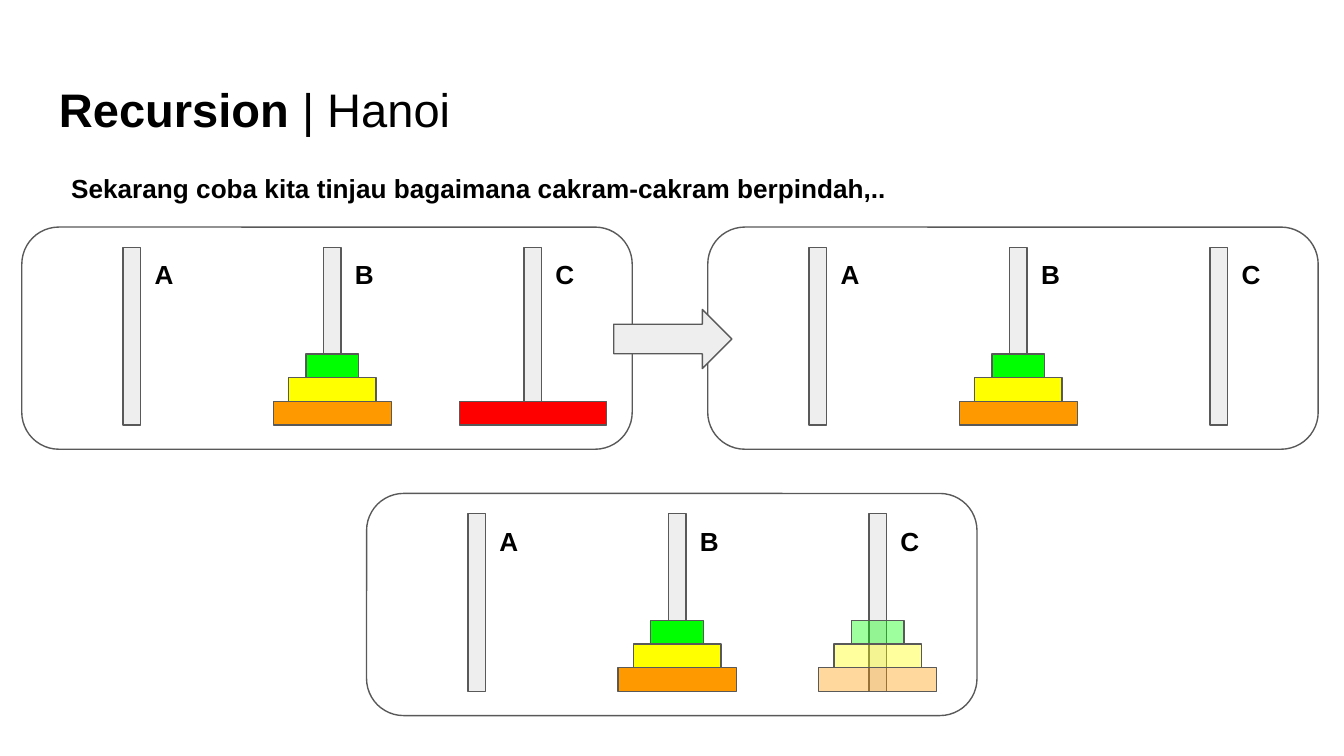
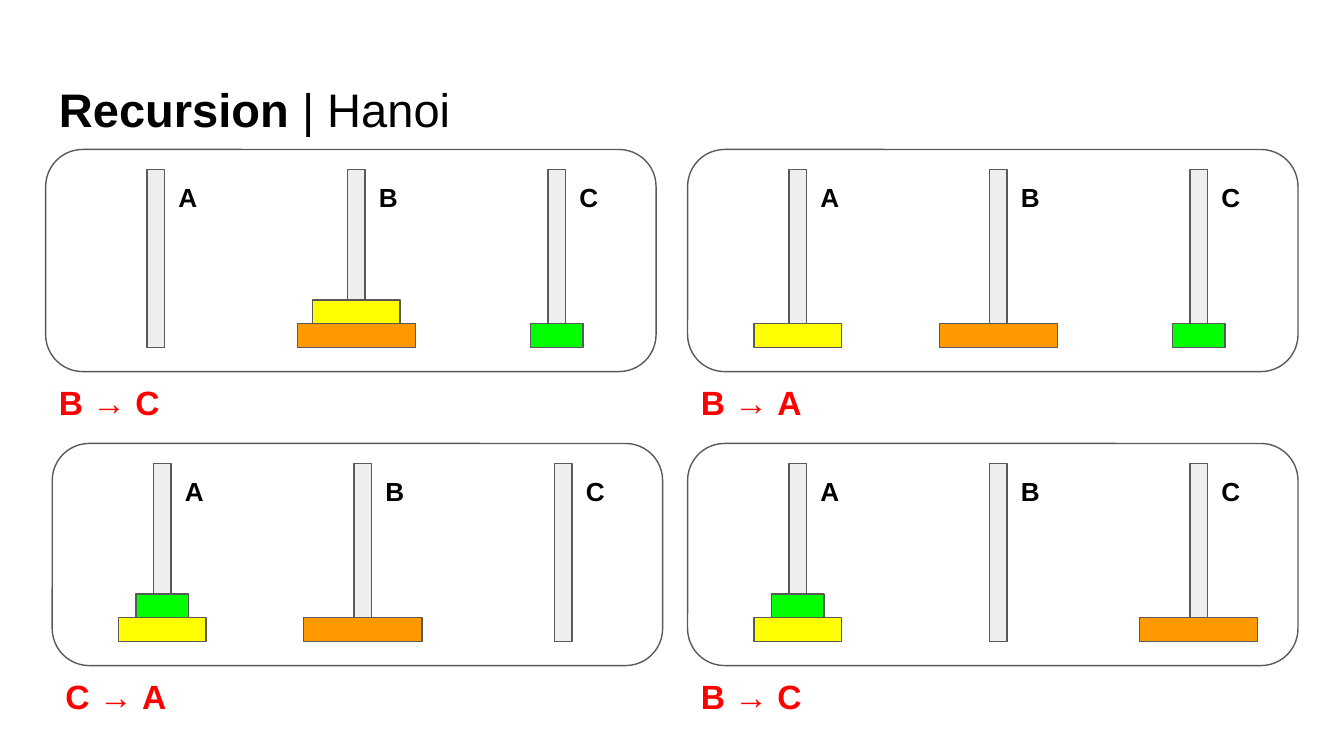
from dataclasses import dataclass, field

from lxml.etree import SubElement
from pptx import Presentation
from pptx.dml.color import RGBColor
from pptx.enum.shapes import MSO_SHAPE as Shape
from pptx.enum.text import MSO_ANCHOR as Anchor, MSO_AUTO_SIZE as AutoSize
from pptx.oxml.ns import qn
from pptx.util import Pt


@dataclass(frozen=True)
class Theme:
    font: str = "Arial"
    ink: str = "000000"
    move: str = "FF0000"
    outline: str = "595959"
    wood: str = "EEEEEE"
    line_width: float = 0.75
    title_size: float = 25.2
    label_size: float = 14
    move_size: float = 18
    inset: float = 7.2
    ghost_opacity: int = 38
    # Each disc: width and colour
    discs: dict = field(default_factory=lambda: {
        "green": (28.3, "00FF00"),
        "yellow": (46.8, "FFFF00"),
        "orange": (63.3, "FF9900"),
        "red": (78.8, "FF0000"),
    })


THEME = Theme()

# Panel geometry, measured from the panel's top left corner
PANEL_W, PANEL_H = 327, 119
PEG_CENTER, PEG_GAP = 59, 107.4
PEG_TOP, PEG_W, PEG_H = 10.8, 9.4, 95.2
DISC_H = 12.7
LABEL_DX, LABEL_TOP, LABEL_W, LABEL_H = 5, 9.8, 28.2, 31.7
MOVE_TOP, MOVE_W, MOVE_H = 117.2, 95.8, 36


class HanoiDeck:
    def __init__(self, theme):
        self.theme = theme
        self.prs = Presentation()
        self.prs.slide_width, self.prs.slide_height = Pt(720), Pt(405)
        self.slide = None

    def new_slide(self):
        self.slide = self.prs.slides.add_slide(self.prs.slide_layouts[6])
        self.text(24.5, 35.3, 671, 45.4,
                  [("Recursion ", True), ("| Hanoi", False)],
                  self.theme.title_size, anchor=Anchor.BOTTOM, grow=False)

    def text(self, x, y, w, h, runs, size, color=None,
             anchor=Anchor.TOP, grow=True):
        """Add one line of text; runs are (words, bold) pairs."""
        box = self.slide.shapes.add_textbox(Pt(x), Pt(y), Pt(w), Pt(h))
        frame = box.text_frame
        frame.word_wrap = True
        frame.auto_size = AutoSize.SHAPE_TO_FIT_TEXT if grow else AutoSize.NONE
        frame.vertical_anchor = anchor
        frame.margin_left = frame.margin_right = Pt(self.theme.inset)
        frame.margin_top = frame.margin_bottom = Pt(self.theme.inset)
        paragraph = frame.paragraphs[0]
        font = paragraph.font
        font.name, font.size = self.theme.font, Pt(size)
        font.color.rgb = RGBColor.from_string(color or self.theme.ink)
        if len(runs) == 1:
            font.bold = runs[0][1]
        for words, bold in runs:
            run = paragraph.add_run()
            run.text = words
            if len(runs) > 1:
                run.font.bold = bold

    def shape(self, kind, x, y, w, h, fill=None, opacity=None):
        outline = self.slide.shapes.add_shape(kind, Pt(x), Pt(y), Pt(w), Pt(h))
        outline.shadow.inherit = False
        outline.line.color.rgb = RGBColor.from_string(self.theme.outline)
        outline.line.width = Pt(self.theme.line_width)
        if fill is None:
            outline.fill.background()
            return
        outline.fill.solid()
        outline.fill.fore_color.rgb = RGBColor.from_string(fill)
        if opacity is not None:
            color = outline.element.spPr.find(f"{qn('a:solidFill')}/{qn('a:srgbClr')}")
            SubElement(color, qn("a:alpha"), val=str(opacity * 1000))

    def tower(self, center, base, discs, opacity=None):
        """Stack discs on a peg, the lowest first."""
        for level, disc in enumerate(discs, start=1):
            width, color = self.theme.discs[disc]
            self.shape(Shape.RECTANGLE, center - width / 2, base - level * DISC_H,
                       width, DISC_H, color, opacity)

    def panel(self, x, y, towers, ghosts=None, move=None):
        """Draw three pegs in a frame, with solid and faded towers."""
        self.shape(Shape.ROUNDED_RECTANGLE, x, y, PANEL_W, PANEL_H)
        centers = {peg: x + PEG_CENTER + i * PEG_GAP for i, peg in enumerate("ABC")}
        base = y + PEG_TOP + PEG_H
        for peg, center in centers.items():
            self.shape(Shape.RECTANGLE, center - PEG_W / 2, y + PEG_TOP,
                       PEG_W, PEG_H, self.theme.wood)
            self.text(center + LABEL_DX, y + LABEL_TOP, LABEL_W, LABEL_H,
                      [(peg, True)], self.theme.label_size)
        for peg, discs in towers.items():
            self.tower(centers[peg], base, discs)
        for peg, discs in (ghosts or {}).items():
            self.tower(centers[peg], base, discs, self.theme.ghost_opacity)
        if move:
            source, target = move
            self.text(x, y + MOVE_TOP, MOVE_W, MOVE_H,
                      [(source, True), (" → ", False), (target, True)],
                      self.theme.move_size, self.theme.move)


def main():
    deck = HanoiDeck(THEME)
    small_tower = ["orange", "yellow", "green"]

    # Slide 1: the red disc is done, the remaining tower goes from B to C
    deck.new_slide()
    deck.text(31, 85, 610.6, 31.7,
              [("Sekarang coba kita tinjau bagaimana cakram-cakram berpindah,..", True)],
              THEME.label_size)
    deck.panel(196.4, 264.4, {"B": small_tower}, ghosts={"C": small_tower})
    deck.panel(11.7, 121.7, {"B": small_tower, "C": ["red"]})
    deck.panel(379.2, 121.7, {"B": small_tower})
    deck.shape(Shape.RIGHT_ARROW, 328.8, 165.8, 63.3, 31.7, THEME.wood)

    # Slide 2: the first four moves
    deck.new_slide()
    steps = [
        (24.5, 80.1, {"B": ["orange", "yellow"], "C": ["green"]}, "BC"),
        (368.4, 80.1, {"A": ["yellow"], "B": ["orange"], "C": ["green"]}, "BA"),
        (28, 237.6, {"A": ["yellow", "green"], "B": ["orange"]}, "CA"),
        (368.4, 237.6, {"A": ["yellow", "green"], "C": ["orange"]}, "BC"),
    ]
    for x, y, towers, move in steps:
        deck.panel(x, y, towers, move=move)

    deck.prs.save("out.pptx")


if __name__ == "__main__":
    main()
